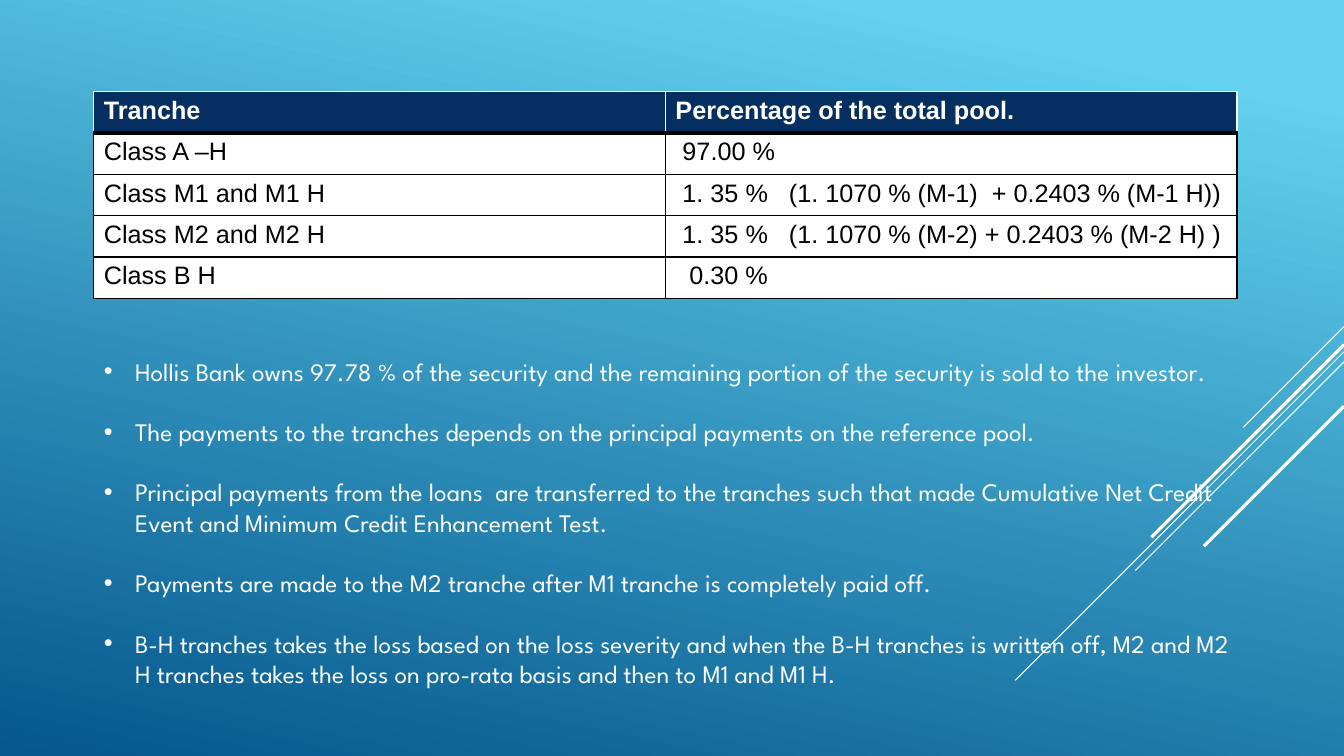
from lxml import etree
from pptx import Presentation
from pptx.dml.color import RGBColor
from pptx.enum.shapes import MSO_CONNECTOR
from pptx.enum.text import MSO_ANCHOR, MSO_AUTO_SIZE, PP_ALIGN
from pptx.oxml.ns import qn
from pptx.util import Inches, Pt

STRAIGHT = MSO_CONNECTOR.STRAIGHT
TOP = MSO_ANCHOR.TOP
LEFT = PP_ALIGN.LEFT
NO_AUTOFIT = MSO_AUTO_SIZE.NONE

SKY = RGBColor(0x62, 0xD2, 0xEF)
DEEP_BLUE = RGBColor(0x05, 0x57, 0x8D)
NAVY = RGBColor(0x05, 0x2F, 0x61)
WHITE = RGBColor(0xFF, 0xFF, 0xFF)
BLACK = RGBColor(0x00, 0x00, 0x00)

WIDTH, HEIGHT = 13.33, 7.5
MARGIN = 0.93

TRANCHES = [
    ("Tranche", "Percentage of the total pool."),
    ("Class A –H", " 97.00 %"),
    ("Class M1 and M1 H", " 1. 35 %   (1. 1070 % (M-1)  + 0.2403 % (M-1 H))"),
    ("Class M2 and M2 H", " 1. 35 %   (1. 1070 % (M-2) + 0.2403 % (M-2 H) )"),
    ("Class B H", "  0.30 %"),
]
NOTES = [
    "Hollis Bank owns 97.78 % of the security and the remaining portion of "
    "the security is sold to the investor.",
    "The payments to the tranches depends on the principal payments on the "
    "reference pool.",
    "Principal payments from the loans  are transferred to the tranches such "
    "that made Cumulative Net Credit Event and Minimum Credit Enhancement Test.",
    "Payments are made to the M2 tranche after M1 tranche is completely paid off.",
    "B-H tranches takes the loss based on the loss severity and when the B-H "
    "tranches is written off, M2 and M2 H tranches takes the loss on pro-rata "
    "basis and then to M1 and M1 H.",
]
# Height at the right edge, diagonal run, line width
STREAKS = [
    (3.24, 1.0, 0.75),
    (3.49, 3.26, 0.75),
    (3.59, 2.07, 0.75),
    (3.42, 1.91, 2.25),
    (4.03, 1.39, 2.25),
]


class TrancheSlide:
    table_font = "Arial"
    body_font = "League Spartan"
    text_size = Pt(18)

    def __init__(self, prs):
        self.slide = prs.slides.add_slide(prs.slide_layouts[1])
        title = self.slide.shapes.title.element
        title.getparent().remove(title)

    def background(self, start, end, angle):
        fill = self.slide.background.fill
        fill.gradient()
        fill.gradient_angle = angle
        for stop, color, position in zip(fill.gradient_stops, (start, end), (0.1, 1)):
            stop.color.rgb = color
            stop.position = position

    def streak(self, top, run, width):
        line = self.slide.shapes.add_connector(
            STRAIGHT, Inches(WIDTH), Inches(top), Inches(WIDTH - run), Inches(top + run))
        line.line.color.rgb = WHITE
        line.line.width = Pt(width)
        etree.SubElement(line.element.spPr, qn("a:effectLst"))

    def style_run(self, run, font, color, bold=False):
        run.font.name = font
        run.font.size = self.text_size
        run.font.color.rgb = color
        run.font.bold = bold

    def border(self, cell, side, color, width):
        edge = etree.SubElement(cell._tc.get_or_add_tcPr(), qn(f"a:ln{side}"), w=str(Pt(width)))
        fill = etree.SubElement(edge, qn("a:solidFill"))
        etree.SubElement(fill, qn("a:srgbClr"), val=str(color))

    def table(self, rows, left, top, column_width, row_height):
        columns = len(rows[0])
        grid = self.slide.shapes.add_table(
            len(rows), columns, Inches(left), Inches(top),
            Inches(column_width * columns), Inches(row_height * len(rows))).table
        for column in grid.columns:
            column.width = Inches(column_width)
        for r, values in enumerate(rows):
            grid.rows[r].height = Inches(row_height)
            header = r == 0
            edge = WHITE if header else BLACK
            for c, value in enumerate(values):
                cell = grid.cell(r, c)
                cell.text_frame.text = value
                run = cell.text_frame.paragraphs[0].runs[0]
                self.style_run(run, self.table_font, edge, header)
                self.border(cell, "L", edge, 1)
                self.border(cell, "R", edge, 1)
                self.border(cell, "T", edge, 3 if r == 1 else 1)
                self.border(cell, "B", BLACK, 3 if header else 1)
                cell.fill.solid()
                cell.fill.fore_color.rgb = NAVY if header else WHITE

    def bullets(self, items, left, top, width, height):
        body = self.slide.placeholders[1]
        body.left, body.top = Inches(left), Inches(top)
        body.width, body.height = Inches(width), Inches(height)
        frame = body.text_frame
        frame.text = "\n".join(items)
        frame.word_wrap = True
        frame.auto_size = NO_AUTOFIT
        frame.vertical_anchor = TOP
        for paragraph in frame.paragraphs:
            paragraph.alignment = LEFT
            paragraph.line_spacing = 1.0
            paragraph.space_before = Pt(0)
            paragraph.space_after = Pt(21.6)
            self.style_run(paragraph.runs[0], self.body_font, WHITE)
            props = paragraph._p.get_or_add_pPr()
            props.set("marL", str(Inches(0.31)))
            props.set("indent", str(-Inches(0.31)))
            color = etree.SubElement(props, qn("a:buClr"))
            etree.SubElement(color, qn("a:srgbClr"), val=str(WHITE))
            etree.SubElement(props, qn("a:buFont"), typeface="Arial")
            etree.SubElement(props, qn("a:buChar"), char="•")


def main():
    prs = Presentation()
    prs.slide_width, prs.slide_height = Inches(WIDTH), Inches(HEIGHT)
    page = TrancheSlide(prs)

    # Backdrop with diagonal streaks
    page.background(SKY, DEEP_BLUE, 258)
    for streak in STREAKS:
        page.streak(*streak)

    # Share of the pool per tranche
    page.table(TRANCHES, MARGIN, 0.91, 5.67, 0.41)

    # Payment and loss rules
    page.bullets(NOTES, MARGIN, 3.48, 11.49, 3.13)

    prs.save("out.pptx")


if __name__ == "__main__":
    main()
